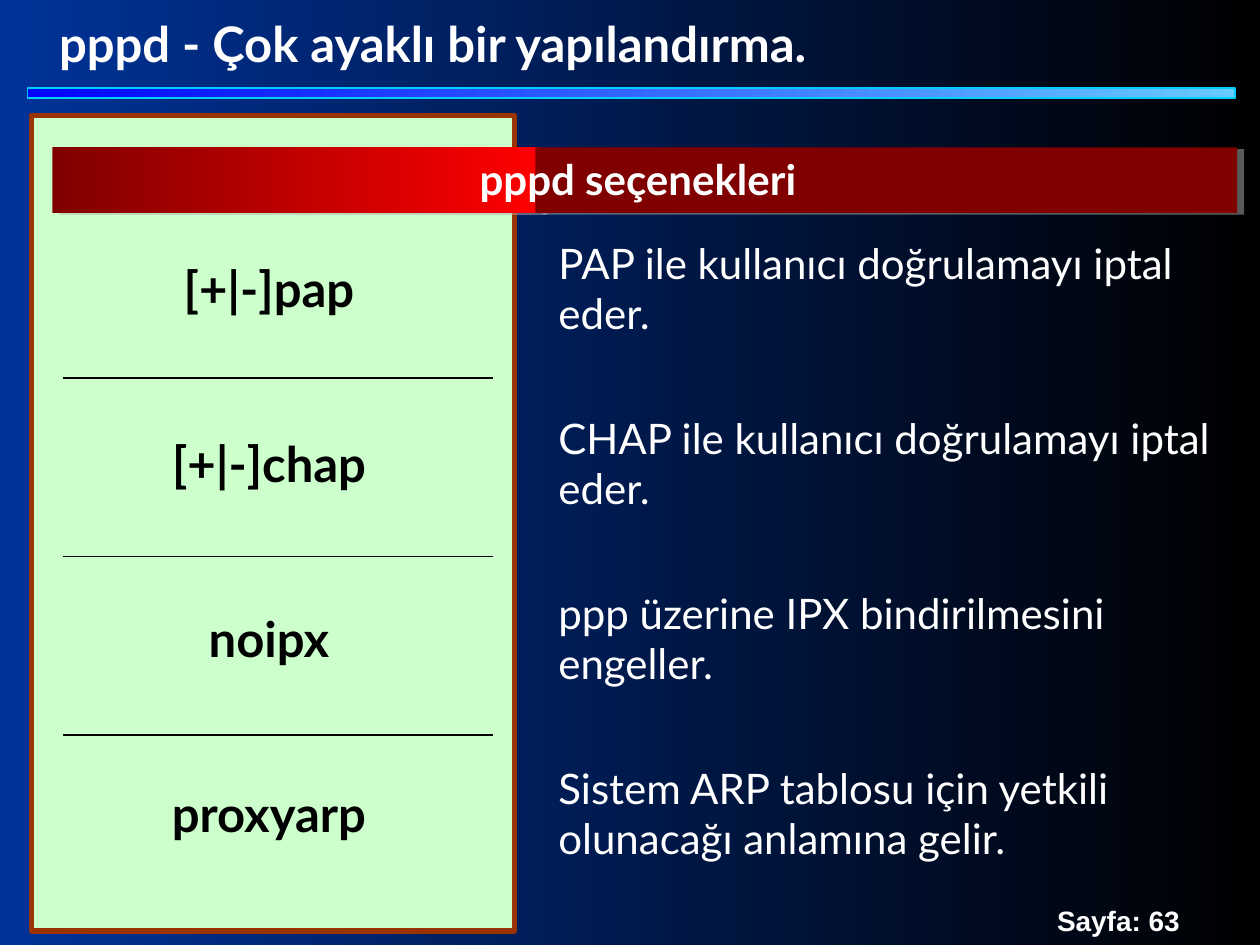
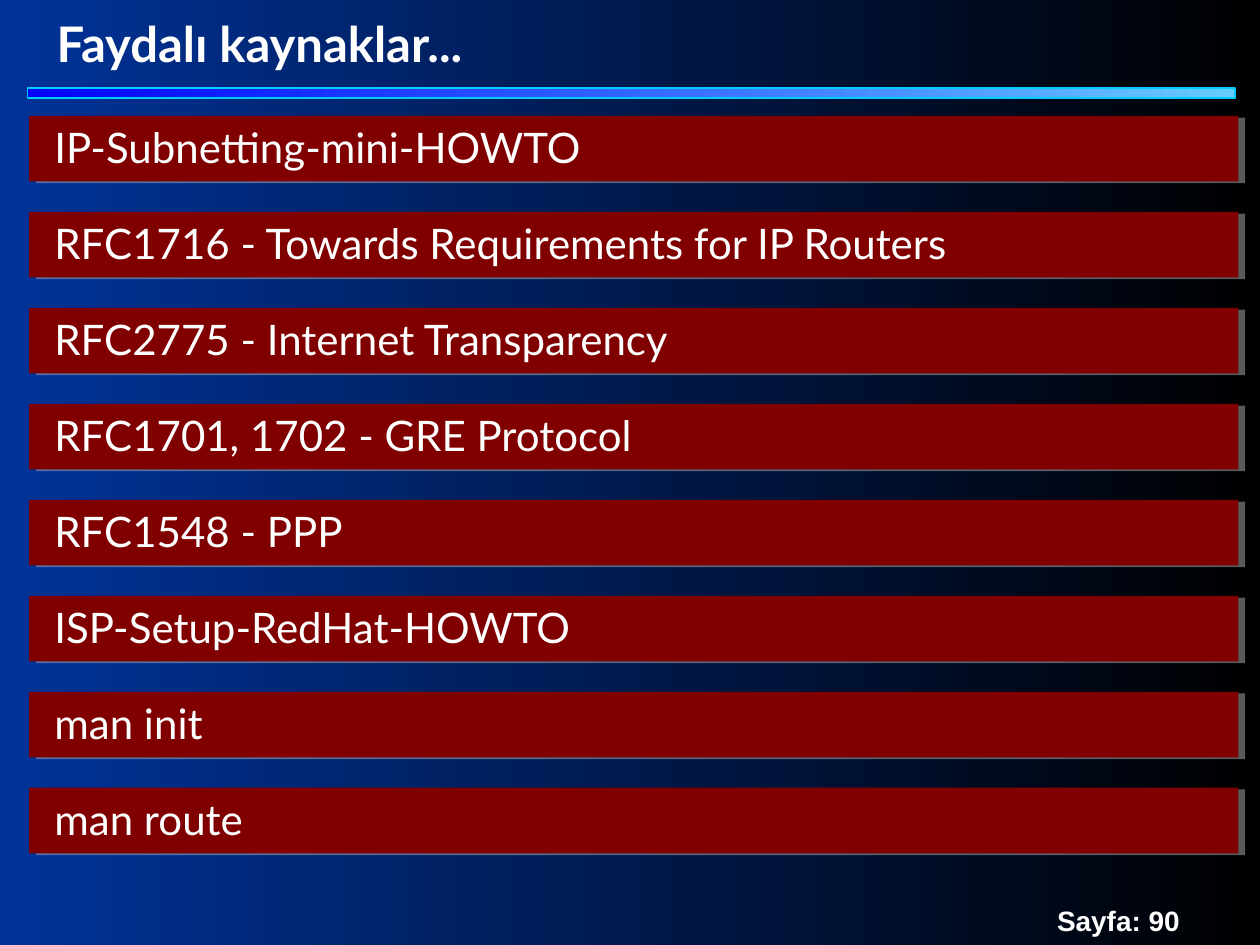
from dataclasses import dataclass

from lxml import etree
from pptx import Presentation
from pptx.dml.color import RGBColor
from pptx.dml.fill import FillFormat
from pptx.enum.shapes import MSO_CONNECTOR, MSO_SHAPE
from pptx.enum.text import MSO_ANCHOR, MSO_AUTO_SIZE, PP_ALIGN
from pptx.oxml.ns import qn
from pptx.shapes.autoshape import Shape
from pptx.slide import Slide
from pptx.util import Pt

RECTANGLE = MSO_SHAPE.RECTANGLE
STRAIGHT = MSO_CONNECTOR.STRAIGHT
TOP, MIDDLE = MSO_ANCHOR.TOP, MSO_ANCHOR.MIDDLE
LEFT, CENTER = PP_ALIGN.LEFT, PP_ALIGN.CENTER
NO_AUTOFIT = MSO_AUTO_SIZE.NONE

WHITE, BLACK = "FFFFFF", "000000"
NAVY = "003399"
BLUE, SKY, CYAN = "0000FF", "66CCFF", "00CCFF"
MAROON, RED = "800000", "FF0000"
MINT, BROWN = "CCFFCC", "993300"
SHADOW = "B2B2B2"
BODY_FONT, FOOTER_FONT = "Lato", "Arial"


@dataclass(frozen=True)
class Box:
    left: float
    top: float
    width: float
    height: float

    def lengths(self) -> tuple[Pt, Pt, Pt, Pt]:
        return Pt(self.left), Pt(self.top), Pt(self.width), Pt(self.height)


@dataclass(frozen=True)
class Option:
    name: str
    name_width: float
    meaning: str


OPTIONS = [
    Option("[+|-]pap", 125, "PAP ile kullanıcı doğrulamayı iptal eder."),
    Option("[+|-]chap", 140, "CHAP ile kullanıcı doğrulamayı iptal eder."),
    Option("noipx", 92, "ppp üzerine IPX bindirilmesini engeller."),
    Option("proxyarp", 141, "Sistem ARP tablosu için yetkili olunacağı anlamına gelir."),
]
OPTION_TOP, OPTION_STEP = 132, 100
NAME_CENTER = 153.7
DIVIDER_TOP, DIVIDER_STEP = 216, 102

SOURCES = [
    "IP-Subnetting-mini-HOWTO",
    "RFC1716 - Towards Requirements for IP Routers",
    "RFC2775 - Internet Transparency",
    "RFC1701, 1702 - GRE Protocol",
    "RFC1548 - PPP",
    "ISP-Setup-RedHat-HOWTO",
    "man init",
    "man route",
]
SOURCE_TOP, SOURCE_STEP = 66.2, 54.85
BAND_HEIGHT = 37.5


def color(hex_code: str) -> RGBColor:
    return RGBColor.from_string(hex_code)


def paint(fill: FillFormat, *hex_codes: str) -> None:
    if len(hex_codes) == 1:
        fill.solid()
        fill.fore_color.rgb = color(hex_codes[0])
        return
    fill.gradient()
    fill.gradient_angle = 0
    for stop, position, hex_code in zip(fill.gradient_stops, (0, 1), hex_codes):
        stop.position = position
        stop.color.rgb = color(hex_code)


def write(
    shape: Shape,
    text: str,
    *,
    size: float = 24,
    font_name: str = BODY_FONT,
    hex_code: str = WHITE,
    bold: bool = False,
    align: PP_ALIGN = LEFT,
    anchor: MSO_ANCHOR = TOP,
) -> None:
    frame = shape.text_frame
    frame.word_wrap = True
    frame.auto_size = NO_AUTOFIT
    frame.vertical_anchor = anchor
    paragraph = frame.paragraphs[0]
    paragraph.alignment = align
    run = paragraph.add_run()
    run.text = text
    run.font.name = font_name
    run.font.size = Pt(size)
    run.font.bold = bold
    run.font.color.rgb = color(hex_code)


def add_text(slide: Slide, box: Box, text: str, **text_format) -> None:
    write(slide.shapes.add_textbox(*box.lengths()), text, **text_format)


def add_panel(
    slide: Slide, box: Box, *hex_codes: str, outline: str = "", weight: float = 0.75
) -> Shape:
    panel = slide.shapes.add_shape(RECTANGLE, *box.lengths())
    panel.shadow.inherit = False
    paint(panel.fill, *hex_codes)
    if outline:
        paint(panel.line.fill, outline)
        panel.line.width = Pt(weight)
    else:
        panel.line.fill.background()
    return panel


def add_band(slide: Slide, box: Box, *hex_codes: str) -> None:
    band = add_panel(slide, box, *hex_codes)
    effects = band._element.spPr.find(qn("a:effectLst"))
    shadow = etree.SubElement(
        effects,
        qn("a:outerShdw"),
        dist=str(Pt(4.1)),
        dir=str(14 * 60000),
        algn="ctr",
        rotWithShape="0",
    )
    tint = etree.SubElement(shadow, qn("a:srgbClr"), val=SHADOW)
    etree.SubElement(tint, qn("a:alpha"), val="50000")


def add_divider(slide: Slide, top: float) -> None:
    divider = slide.shapes.add_connector(STRAIGHT, Pt(36), Pt(top), Pt(282), Pt(top))
    paint(divider.line.fill, BLACK)
    divider.line.width = Pt(0.75)
    etree.SubElement(divider._element.spPr, qn("a:effectLst"))


def add_page(deck: Presentation, title: str, title_box: Box, number: int) -> Slide:
    slide = deck.slides.add_slide(deck.slide_layouts[5])
    paint(slide.background.fill, NAVY, BLACK)
    heading = slide.shapes.title
    heading.left, heading.top, heading.width, heading.height = title_box.lengths()
    write(heading, title, size=28, bold=True)
    add_text(
        slide,
        Box(597, 512.6, 144, 26.6),
        f"Sayfa: {number}",
        size=16,
        font_name=FOOTER_FONT,
        bold=True,
    )
    add_panel(slide, Box(15.8, 50.3, 690, 5.8), BLUE, SKY, outline=CYAN)
    return slide


def build_options(deck: Presentation) -> None:
    title_box = Box(26.6, 4.3, 500, 41)
    slide = add_page(deck, "pppd - Çok ayaklı bir yapılandırma.", title_box, 63)
    add_panel(slide, Box(18, 66, 276, 466), MINT, outline=BROWN, weight=3)
    add_band(slide, Box(30, 84.2, 278.5, BAND_HEIGHT), MAROON, RED)
    add_band(slide, Box(306, 84.2, 401, BAND_HEIGHT), MAROON)
    add_text(slide, Box(267, 84.2, 318, 36), "pppd seçenekleri", bold=True)
    for row, option in enumerate(OPTIONS):
        top = OPTION_TOP + row * OPTION_STEP
        name_left = NAME_CENTER - option.name_width / 2
        add_text(slide, Box(312, top, 404.5, 65), option.meaning)
        add_text(
            slide,
            Box(name_left, top + 12, option.name_width, 41),
            option.name,
            size=28,
            hex_code=BLACK,
            bold=True,
            align=CENTER,
            anchor=MIDDLE,
        )
    for gap in range(len(OPTIONS) - 1):
        add_divider(slide, DIVIDER_TOP + gap * DIVIDER_STEP)


def build_sources(deck: Presentation) -> None:
    slide = add_page(deck, "Faydalı kaynaklar...", Box(25.2, 4.3, 286, 41), 90)
    for row, source in enumerate(SOURCES):
        top = SOURCE_TOP + row * SOURCE_STEP
        add_band(slide, Box(16.6, top, 691, BAND_HEIGHT), MAROON)
        add_text(slide, Box(24, top, 666, 36), source)


def main() -> None:
    deck = Presentation()
    deck.slide_width, deck.slide_height = Pt(720), Pt(540)
    build_options(deck)
    build_sources(deck)
    deck.save("out.pptx")


if __name__ == "__main__":
    main()
